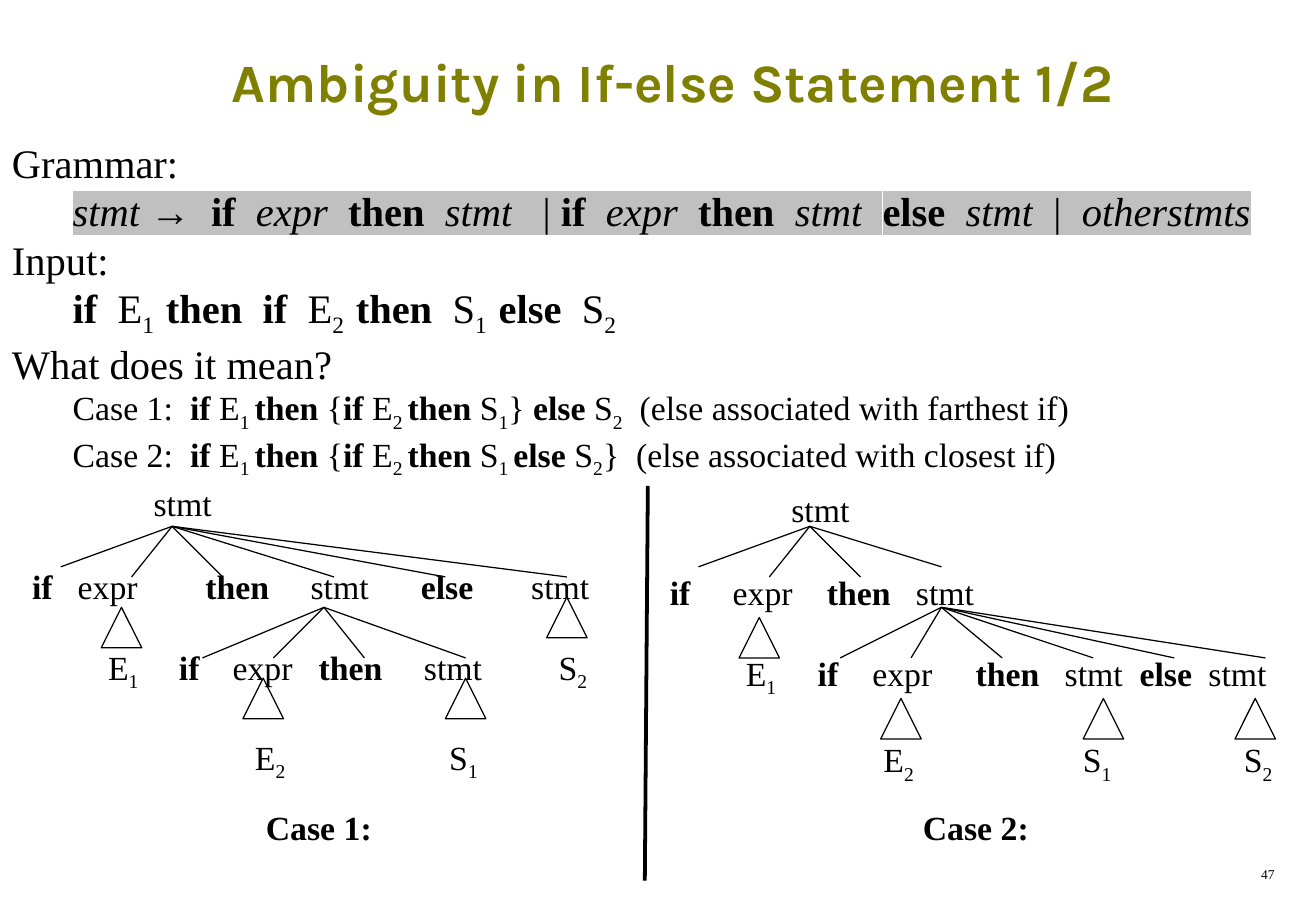
from lxml import etree
from pptx import Presentation
from pptx import util as u
from pptx.dml.color import RGBColor
from pptx.enum import shapes, text
from pptx.oxml.ns import qn

PX = 7620
LEFT, CENTER, RIGHT = text.PP_ALIGN.LEFT, text.PP_ALIGN.CENTER, text.PP_ALIGN.RIGHT
MARKS = {"*": "bold", "~": "italic", "_": "sub", "#": "marked"}

GRAMMAR = [
    "Grammar:",
    "\t#~stmt~ →  *if*  ~expr~  *then  *~stmt~   | *if*  ~expr~  *then  *~stmt~"
    "  *else  *~stmt~  |  ~otherstmts~#",
    "Input:",
    "\t*if*  E_1  _*then  if*  E_2  _*then  *S_1  _*else  *S_2_",
    "What does it mean?",
]
CASES = [
    "Case 1:  *if *E_1 _*then *{*if *E_2 _*then *S_1_} *else *S_2_"
    "  (else associated with farthest if)",
    "Case 2:  *if *E_1 _*then *{*if *E_2 _*then *S_1 _*else *S_2_}"
    "  (else associated with closest if)",
]

FARTHEST_TREE = {
    "at": (20, 471, 610, 289),
    "rows": [
        ("\tstmt", [120], 0),
        ("*if*\texpr\t*then*\tstmt\t*else*\tstmt", [45, 171, 275, 384, 493], 25),
        ("\tE_1_\t*if*\texpr\t*then*\tstmt\tS_2_", [75, 145, 198, 283, 387, 520], 24),
        ("\tE_2_\tS_1_", [220, 412], 26),
    ],
    "fans": [
        ((170, 520), [(60, 560), (130, 570), (220, 570), (330, 570), (440, 570), (560, 570)]),
        ((320, 600), [(200, 650), (270, 650), (360, 650), (460, 650)]),
    ],
    "subtrees": [(100, 600), (240, 670), (440, 670), (540, 590)],
}
CLOSEST_TREE = {
    "at": (650, 477, 650, 289),
    "rows": [
        ("\tstmt", [120], 0),
        ("*if*\texpr\t*then*\tstmt", [62, 155, 243], 25),
        ("\tE_1_\t*if*\texpr\t*then*\tstmt\t*else*\tstmt",
         [75, 146, 200, 302, 390, 464, 532], 24),
        ("\tE_2_\tS_1_\tS_2_", [211, 408, 567], 24),
    ],
    "fans": [
        ((800, 520), [(690, 560), (760, 570), (850, 570), (930, 560)]),
        ((930, 600), [(830, 650), (900, 650), (990, 650), (1080, 650), (1160, 650), (1250, 650)]),
    ],
    "subtrees": [(730, 610), (870, 690), (1070, 690), (1220, 690)],
}


def px(*lengths):
    return [u.Emu(length * PX) for length in lengths]


def color(hex_code):
    return RGBColor.from_string(hex_code)


def marked_pieces(line):
    state = dict.fromkeys(MARKS.values(), False)
    piece = ""
    for char in line:
        if char not in MARKS:
            piece += char
            continue
        if piece:
            yield piece, dict(state)
        piece = ""
        state[MARKS[char]] = not state[MARKS[char]]
    if piece:
        yield piece, dict(state)


def write(paragraph, line, size=20, font="Times New Roman", ink="000000",
          bold=False, align=LEFT, before=0, indent=0, tabs=()):
    paragraph.alignment = align
    paragraph.space_before = u.Pt(before)
    properties = paragraph._p.get_or_add_pPr()
    if indent:
        paragraph.level = 1
        properties.set("marL", str(indent * PX))
        properties.set("indent", "0")
    if tabs:
        stops = etree.SubElement(properties, qn("a:tabLst"))
        for stop in tabs:
            etree.SubElement(stops, qn("a:tab"), pos=str(stop * PX), algn="l")
    for piece, state in marked_pieces(line):
        run = paragraph.add_run()
        run.text = piece
        run.font.size = u.Pt(size)
        run.font.name = font
        run.font.color.rgb = color(ink)
        run.font.bold = bold or state["bold"]
        run.font.italic = state["italic"]
        if state["sub"]:
            run.font._rPr.set("baseline", "-25000")
        if state["marked"]:
            highlight = etree.Element(qn("a:highlight"))
            etree.SubElement(highlight, qn("a:srgbClr"), val="C0C0C0")
            run.font._rPr.find(qn("a:latin")).addprevious(highlight)


class Board:
    def __init__(self, deck):
        self.ink = "000000"
        self.slide = deck.slides.add_slide(deck.slide_layouts[5])

    def title(self, at, line):
        heading = self.slide.shapes.title
        heading.left, heading.top, heading.width, heading.height = px(*at)
        frame = heading.text_frame
        frame.word_wrap = True
        frame.auto_size = text.MSO_AUTO_SIZE.NONE
        frame.vertical_anchor = text.MSO_ANCHOR.MIDDLE
        write(frame.paragraphs[0], line, size=32, font="Karla",
              ink="808000", bold=True, align=CENTER)

    def words(self, at, lines):
        frame = self.slide.shapes.add_textbox(*px(*at)).text_frame
        frame.word_wrap = True
        for index, (line, style) in enumerate(lines):
            paragraph = frame.add_paragraph() if index else frame.paragraphs[0]
            write(paragraph, line, ink=self.ink, **style)

    def line(self, start, end, width=0.75):
        branch = self.slide.shapes.add_connector(
            shapes.MSO_CONNECTOR.STRAIGHT, *px(*start, *end))
        branch.line.color.rgb = color(self.ink)
        branch.line.width = u.Pt(width)
        etree.SubElement(branch._element.spPr, qn("a:effectLst"))

    def triangle(self, left, top):
        subtree = self.slide.shapes.add_shape(
            shapes.MSO_SHAPE.ISOSCELES_TRIANGLE, *px(left, top, 40, 40))
        subtree.shadow.inherit = False
        subtree.fill.background()
        subtree.line.color.rgb = color(self.ink)
        subtree.line.width = u.Pt(0.75)

    def tree(self, at, rows, fans, subtrees):
        self.words(at, [(line, {"tabs": tabs, "before": before})
                        for line, tabs, before in rows])
        for root, children in fans:
            for child in children:
                self.line(root, child)
        for corner in subtrees:
            self.triangle(*corner)


def main():
    deck = Presentation()
    deck.slide_width, deck.slide_height = px(1300, 900)
    board = Board(deck)
    board.title((50, 20, 1230, 120), "Ambiguity in If-else Statement 1/2")
    board.words((1000, 850, 271, 30), [("47", {"size": 8, "align": RIGHT})])
    board.words((0, 130, 1337, 376),
                [(line, {"size": 24}) for line in GRAMMAR]
                + [(line, {"indent": 60}) for line in CASES])
    board.tree(**FARTHEST_TREE)
    board.tree(**CLOSEST_TREE)
    board.line((640, 480), (637, 870), width=2.25)
    caption = {"bold": True, "align": CENTER}
    board.words((-10, 791, 650, 53), [("Case 1:", caption)])
    board.words((895, 791, 138, 53), [("Case 2:", caption)])
    deck.save("out.pptx")


if __name__ == "__main__":
    main()
